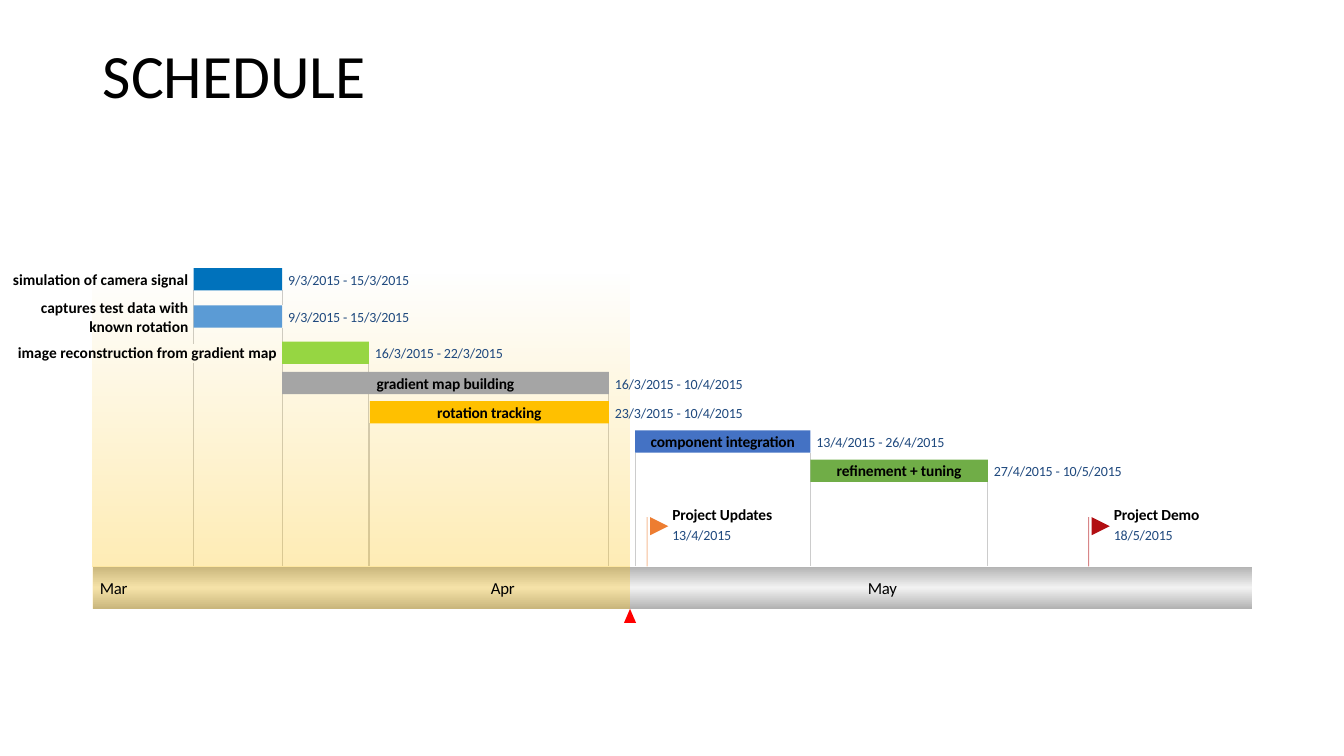
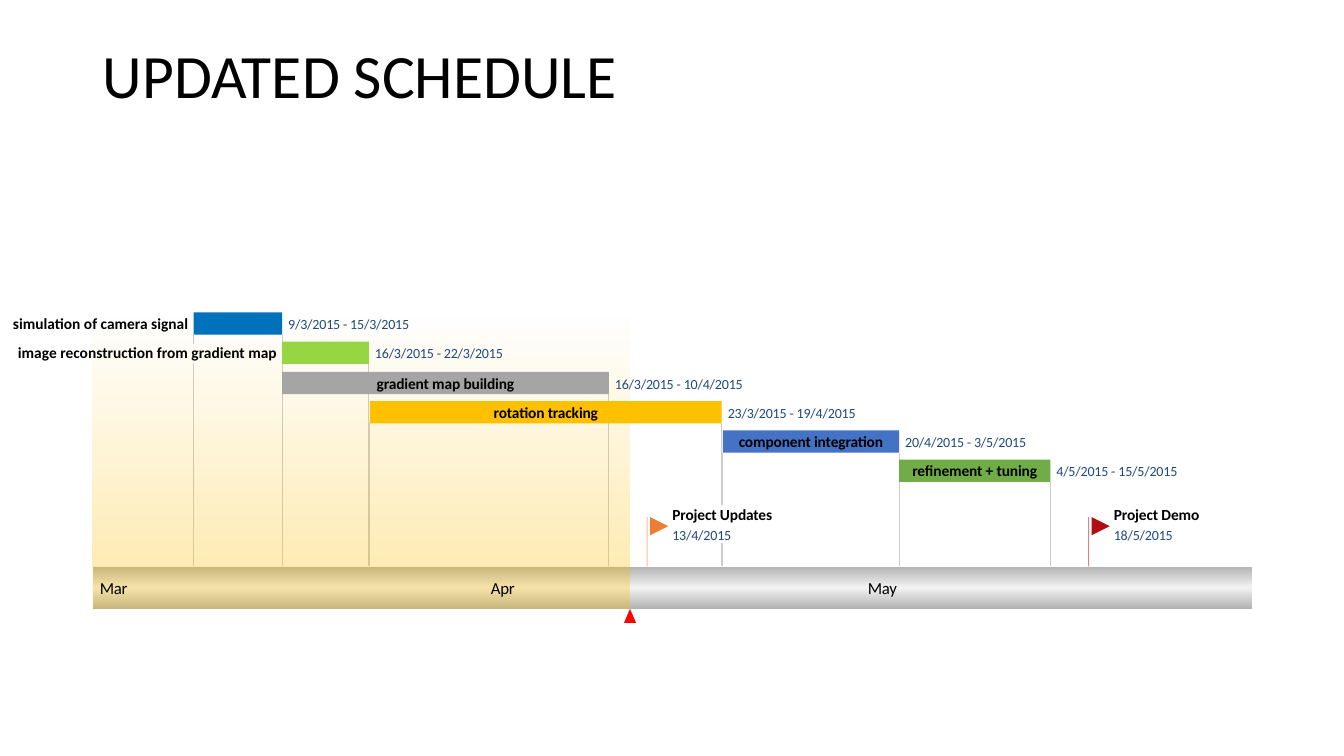
"""Build two project schedule slides from dated tasks and milestones."""
import collections

import pptx
import pptx.dml.color
import pptx.enum.shapes
import pptx.enum.text
import pptx.oxml.ns
import pptx.util
from lxml import etree

Task = collections.namedtuple("Task", "name start end color label_width lines", defaults=(0, 1))

SHAPES = pptx.enum.shapes.MSO_SHAPE
ALIGN = pptx.enum.text.PP_ALIGN
ANCHOR = pptx.enum.text.MSO_ANCHOR
qn = pptx.oxml.ns.qn

SCALE = 9144
MONTH_STARTS = {3: 0, 4: 31, 5: 61}
CHART_LEFT, CHART_WIDTH, DAY_WIDTH = 92, 1150, 12.5
BAND_TOP, BAND_HEIGHT = 562, 42
TODAY = 625
BAR_HEIGHT, ROW_GAP, ROWS_BOTTOM = 22, 7.3, 478.5
EXTRA_LINE = 14.6

SIMULATION = Task("simulation of camera signal", "9/3/2015", "15/3/2015", "0072BC", 180)
CAPTURES = Task("captures test data with known rotation", "9/3/2015", "15/3/2015", "5B9BD5", 150, 2)
RECONSTRUCTION = Task("image reconstruction from gradient map", "16/3/2015", "22/3/2015", "96D642", 262)
MAP_BUILDING = Task("gradient map building", "16/3/2015", "10/4/2015", "A5A5A5")
TRACKING = Task("rotation tracking", "23/3/2015", "10/4/2015", "FFC000")
INTEGRATION = Task("component integration", "13/4/2015", "26/4/2015", "4472C4")
TUNING = Task("refinement + tuning", "27/4/2015", "10/5/2015", "70AD47")

SCHEDULES = {
    "SCHEDULE": [SIMULATION, CAPTURES, RECONSTRUCTION, MAP_BUILDING, TRACKING, INTEGRATION, TUNING],
    "UPDATED SCHEDULE": [
        SIMULATION,
        RECONSTRUCTION,
        MAP_BUILDING,
        TRACKING._replace(end="19/4/2015"),
        INTEGRATION._replace(start="20/4/2015", end="3/5/2015"),
        TUNING._replace(start="4/5/2015", end="15/5/2015"),
    ],
}
MILESTONES = [
    ("Project Updates", "13/4/2015", "ED7D31", 101),
    ("Project Demo", "18/5/2015", "B20E12", 88),
]


def px(length):
    return pptx.util.Emu(round(length) * SCALE)


def rgb(color):
    return pptx.dml.color.RGBColor.from_string(color)


def day_left(date):
    day, month, _ = map(int, date.split("/"))
    return round(CHART_LEFT + DAY_WIDTH * (MONTH_STARTS[month] + day - 1))


def day_right(date):
    return round(day_left(date) + DAY_WIDTH)


def write(frame, text, size=11, color="000000", bold=False, align=ALIGN.LEFT, spacing=-10):
    para = frame.paragraphs[0]
    para.alignment = align
    span = para.add_run()
    span.text = text
    span.font.name = "Calibri"
    span.font.size = pptx.util.Pt(size)
    span.font.bold = bold
    span.font.color.rgb = rgb(color)
    span._r.get_or_add_rPr().set("spc", str(spacing))
    return para


def set_opacity(properties, percent):
    for color in properties.iter(qn("a:srgbClr")):
        etree.SubElement(color, qn("a:alpha"), val=str(percent * 1000))


def stack_rows(tasks):
    rows, bottom = [], ROWS_BOTTOM
    for task in reversed(tasks):
        height = BAR_HEIGHT + EXTRA_LINE * (task.lines - 1)
        rows.append((task, round(bottom - (height + BAR_HEIGHT) / 2)))
        bottom -= height + ROW_GAP
    return rows[::-1]


class Schedule:
    def __init__(self):
        self.deck = pptx.Presentation()
        self.deck.slide_width, self.deck.slide_height = pptx.util.Inches(13.333), px(750)
        self.page = None

    def title(self, text):
        box = self.page.shapes.title
        box.left, box.top, box.width, box.height = map(px, (92, 40, 1150, 145))
        frame = box.text_frame
        frame.auto_size = pptx.enum.text.MSO_AUTO_SIZE.NONE
        frame.vertical_anchor = ANCHOR.TOP
        write(frame, text, size=44, spacing=0).line_spacing = 0.9

    def shape(self, kind, left, top, width, height, color, opacity=100):
        shape = self.page.shapes.add_shape(kind, *map(px, (left, top, width, height)))
        shape.shadow.inherit = False
        shape.line.fill.background()
        shape.fill.solid()
        shape.fill.fore_color.rgb = rgb(color)
        if opacity < 100:
            set_opacity(shape._element.spPr, opacity)
        return shape

    def gradient(self, left, top, width, height, stops):
        shape = self.shape(SHAPES.RECTANGLE, left, top, width, height, stops[0][1])
        shape.fill.gradient()
        shape.fill.gradient_angle = 270
        stop_list = shape._element.spPr.find(".//" + qn("a:gsLst"))
        for stop in list(stop_list):
            stop_list.remove(stop)
        for position, color, opacity in stops:
            stop = etree.SubElement(stop_list, qn("a:gs"), pos=str(position * 1000))
            etree.SubElement(stop, qn("a:srgbClr"), val=color)
            set_opacity(stop, opacity)

    def text(self, text, left, top, width, height, **style):
        frame = self.page.shapes.add_textbox(*map(px, (left, top, width, height))).text_frame
        frame.word_wrap = True
        frame.vertical_anchor = ANCHOR.MIDDLE
        frame.margin_left = frame.margin_right = frame.margin_top = frame.margin_bottom = 0
        write(frame, text, **style)

    def date(self, text, left, top):
        self.text(text, left, top, 140, 17, size=10, color="1F497E")

    def drop(self, left, top, bottom, color="CCCCCC", opacity=100):
        line = self.page.shapes.add_connector(
            pptx.enum.shapes.MSO_CONNECTOR.STRAIGHT, *map(px, (left, top, left, bottom)))
        line.line.color.rgb = rgb(color)
        line.line.width = pptx.util.Pt(0.75)
        properties = line._element.spPr
        etree.SubElement(properties, qn("a:effectLst"))
        if opacity < 100:
            set_opacity(properties, opacity)

    def guides(self, rows):
        starts, blocks = {}, []
        for task, top in rows:
            left, right = day_left(task.start), day_right(task.end)
            blocks.append((left, right, top, top + BAR_HEIGHT))
            if task.label_width:
                blocks.append((left - 5 - task.label_width, left - 5, top + 2, top + 21))
            for edge in (left, right):
                starts.setdefault(edge, top + BAR_HEIGHT)
        for name, date, color, width in MILESTONES:
            left = day_right(date) + 25
            blocks.append((left, left + width, 501, 539))
        for edge, top in starts.items():
            crossed = [(upper, lower) for left, right, upper, lower in blocks
                       if left < edge <= right and upper > top]
            for upper, lower in sorted(crossed):
                self.drop(edge, top, upper)
                top = lower
            self.drop(edge, top, BAND_TOP)

    def band(self):
        self.gradient(CHART_LEFT, BAND_TOP, CHART_WIDTH, BAND_HEIGHT,
                      [(0, "B2B2B2", 100), (50, "F2F2F2", 100), (100, "B2B2B2", 100)])
        self.shape(SHAPES.RECTANGLE, CHART_LEFT, BAND_TOP, TODAY - CHART_LEFT, BAND_HEIGHT,
                   "FFC000", opacity=30)
        self.shape(SHAPES.ISOSCELES_TRIANGLE, TODAY - 6, BAND_TOP + BAND_HEIGHT, 12, 14, "FF0000")
        for name, first in (("Mar", "1/3/2015"), ("Apr", "1/4/2015"), ("May", "1/5/2015")):
            self.text(name, day_left(first) + 7, 573, 42, 20, size=12, spacing=-20)

    def milestone(self, name, date, color, width):
        left = day_right(date)
        self.drop(left, 513, BAND_TOP, color, opacity=50)
        self.shape(SHAPES.FLOWCHART_MERGE, left + 3, 513, 18, 18, color).rotation = 270
        self.text(name, left + 25, 501, width + 10, 19, bold=True)
        self.date(date, left + 25, 522)

    def task(self, task, top):
        left, right = day_left(task.start), day_right(task.end)
        self.shape(SHAPES.RECTANGLE, left, top, right - left, BAR_HEIGHT, task.color)
        if task.label_width:
            extra = EXTRA_LINE * (task.lines - 1)
            self.text(task.name, left - 5 - task.label_width, top - extra / 2, task.label_width,
                      BAR_HEIGHT + extra, bold=True, align=ALIGN.RIGHT, spacing=0)
        else:
            self.text(task.name, left, top, right - left, BAR_HEIGHT, bold=True, align=ALIGN.CENTER)
        self.date(f"{task.start} - {task.end}", right + 6, top + 3)

    def add_page(self, title, tasks):
        self.page = self.deck.slides.add_slide(self.deck.slide_layouts[5])
        rows = stack_rows(tasks)
        self.guides(rows)
        first_top = rows[0][1]
        self.gradient(CHART_LEFT, first_top, TODAY - CHART_LEFT, BAND_TOP - first_top,
                      [(0, "FFC000", 0), (100, "FFC000", 30)])
        self.title(title)
        self.band()
        for milestone in MILESTONES:
            self.milestone(*milestone)
        for task, top in rows:
            self.task(task, top)


def main():
    schedule = Schedule()
    for title, tasks in SCHEDULES.items():
        schedule.add_page(title, tasks)
    schedule.deck.save("out.pptx")


if __name__ == "__main__":
    main()
